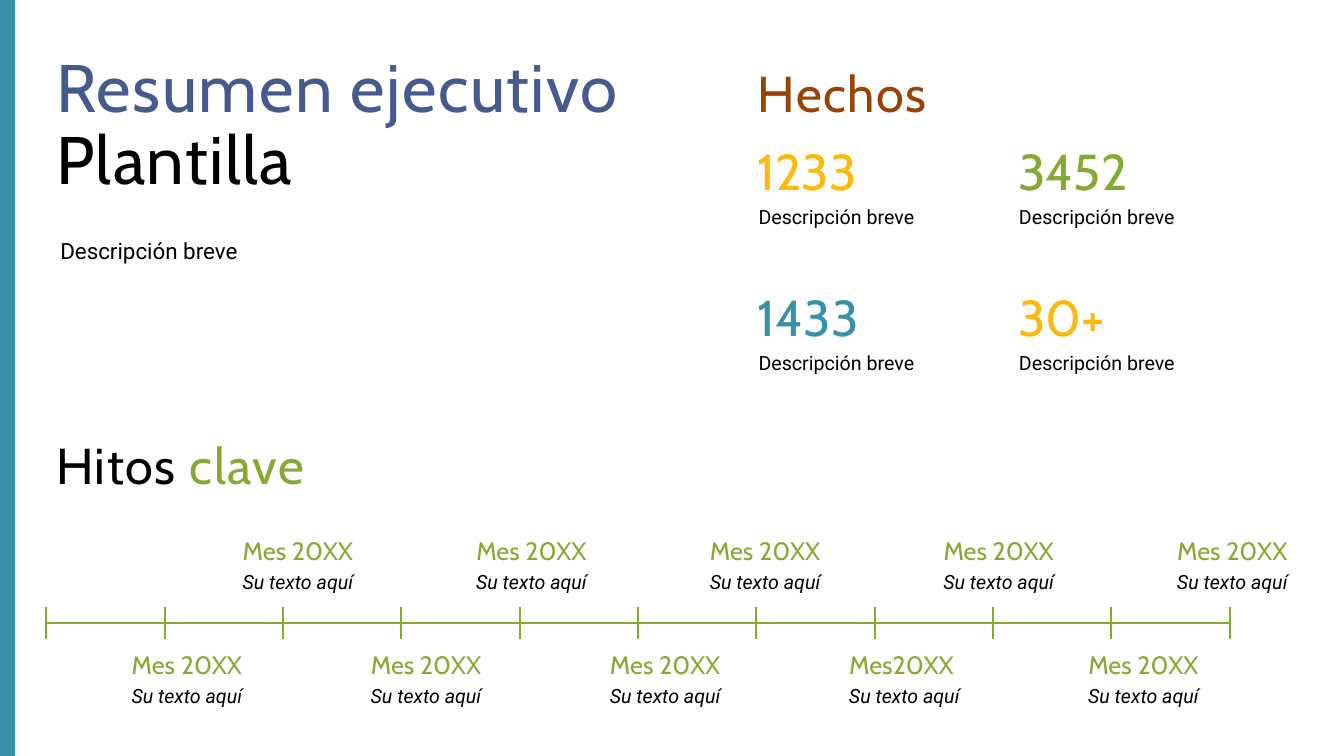
from dataclasses import dataclass
from lxml.etree import SubElement
from pptx import Presentation
from pptx.dml.color import RGBColor
from pptx.enum.shapes import MSO_CONNECTOR, MSO_SHAPE
from pptx.enum.text import MSO_ANCHOR, MSO_AUTO_SIZE, PP_ALIGN
from pptx.oxml.ns import qn
from pptx.util import Pt


@dataclass(frozen=True)
class Theme:
    head: str = "Cabin"
    body: str = "Roboto"
    black: str = "000000"
    navy: str = "475A8D"
    rust: str = "964305"
    gold: str = "FEB80A"
    teal: str = "3891A7"
    green: str = "84AA33"
    title: int = 48
    large: int = 36
    month: int = 18
    lead: int = 16
    note: int = 14
    track: float = 1.1
    rule: float = 1.5


T = Theme()


def say(slide, box, text, color=T.black, size=T.note, font=T.body,
        track=0, space=None, italic=False, grow=True, round=False):
    """Place text; a list of (text, color) pairs gives several runs."""
    area = [Pt(v) for v in box]
    if round:
        shape = slide.shapes.add_shape(MSO_SHAPE.ROUNDED_RECTANGLE, *area)
        shape.adjustments[0] = 0.08
        shape.shadow.inherit = False
        shape.fill.background()
        shape.line.fill.background()
    else:
        shape = slide.shapes.add_textbox(*area)
    frame = shape.text_frame
    frame.word_wrap = True
    frame.vertical_anchor = MSO_ANCHOR.TOP
    frame.auto_size = (MSO_AUTO_SIZE.SHAPE_TO_FIT_TEXT if grow
                       else MSO_AUTO_SIZE.NONE)
    para = frame.paragraphs[0]
    para.alignment = PP_ALIGN.LEFT
    if space:
        para.line_spacing = space
    for part, tone in [(text, color)] if isinstance(text, str) else text:
        run = para.add_run()
        run.text = part
        run.font.name = font
        run.font.size = Pt(size)
        run.font.italic = italic
        run.font.color.rgb = RGBColor.from_string(tone)
        if track:
            run.font._element.set("spc", f"{track * 100:.0f}")


def head(slide, box, text, size=T.large, track=T.track, **form):
    say(slide, box, text, size=size, font=T.head, track=track,
        space=0.9, **form)


def rule(slide, x1, y1, x2, y2):
    line = slide.shapes.add_connector(
        MSO_CONNECTOR.STRAIGHT, Pt(x1), Pt(y1), Pt(x2), Pt(y2))
    line.line.color.rgb = RGBColor.from_string(T.green)
    line.line.width = Pt(T.rule)
    SubElement(line._element.spPr, qn("a:effectLst"))


def side(slide, box):
    bar = slide.shapes.add_shape(MSO_SHAPE.RECTANGLE, *[Pt(v) for v in box])
    bar.shadow.inherit = False
    bar.fill.solid()
    bar.fill.fore_color.rgb = RGBColor.from_string(T.teal)
    bar.line.fill.background()


def intro(slide, box):
    x, y, wide, high = box
    head(slide, (x, y, wide, 111),
         [("Resumen ejecutivo ", T.navy), ("Plantilla", T.black)],
         size=T.title)
    say(slide, (x, y + 128, 417, high - 128), "Descripción breve",
        size=T.lead, grow=False, round=True)


def facts(slide, box):
    x, y, wide, high = box
    head(slide, (x, y, wide, 46), "Hechos", color=T.rust)
    items = [("1233", T.gold), ("3452", T.green),
             ("1433", T.teal), ("30+", T.gold)]
    for i, (count, color) in enumerate(items):
        row, col = divmod(i, 2)
        left, top = x + col * 186, y + 55.5 + row * 104.4
        head(slide, (left, top, 103, 46), count, color=color, track=0)
        say(slide, (left, top + 40.3, 198, 25.2), "Descripción breve",
            round=True)


def stone(slide, x, y, month):
    """One milestone: month above its text."""
    say(slide, (x, y, 198.4, 30.2), month, color=T.green, size=T.month,
        font=T.head, round=True)
    say(slide, (x, y + 25.2, 198.4, 25.2), "Su texto aquí", italic=True,
        round=True)


def steps(slide, box):
    x, y, wide, high = box
    head(slide, (x, y, 386, 46), [("Hitos", T.black), (" clave", T.green)])

    # Axis and ticks
    axis = y + 133.2
    rule(slide, x, axis, x + wide, axis)
    for i in range(11):
        tick = x + i * wide / 10
        rule(slide, tick, axis - 11.5, tick, axis + 11.5)

    # Milestones below and above the axis
    below = ["Mes 20XX"] * 3 + ["Mes20XX", "Mes 20XX"]
    for i, month in enumerate(below):
        stone(slide, x + 53.2 + i * 170.82, axis + 14.4, month)
        stone(slide, x + 132.5 + i * 166.86, axis - 67, "Mes 20XX")


def main():
    deck = Presentation()
    deck.slide_width, deck.slide_height = Pt(960), Pt(540)
    slide = deck.slides.add_slide(deck.slide_layouts[6])
    intro(slide, (33.1, 35.3, 502.6, 251.2))
    facts(slide, (534.2, 46.1, 385.2, 225.4))
    steps(slide, (33.1, 311.8, 845.3, 198))
    side(slide, (0, -1, 10.8, 542))
    deck.save("out.pptx")


if __name__ == "__main__":
    main()
